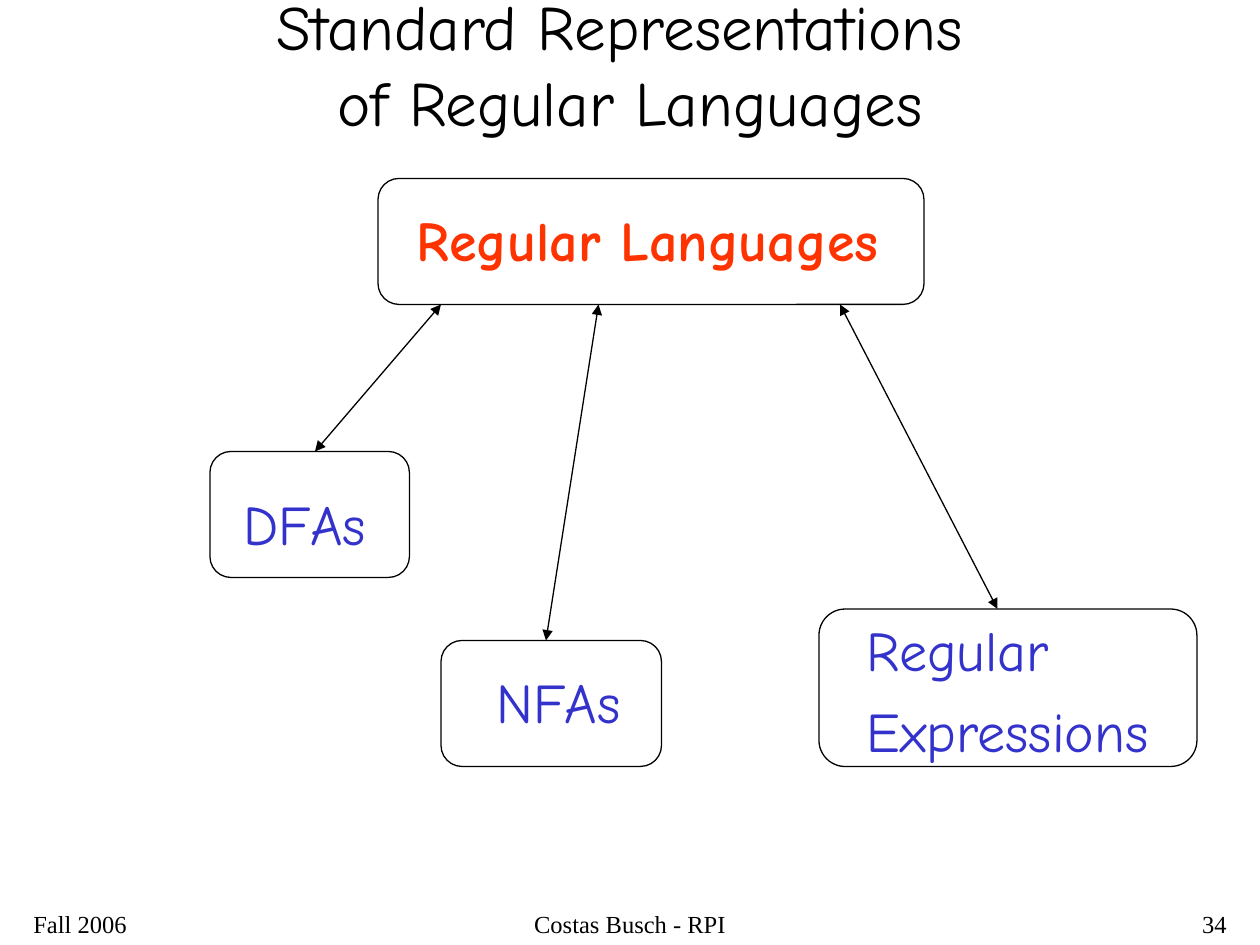
from lxml.etree import SubElement
from pptx import Presentation
from pptx.dml.color import RGBColor
from pptx.enum.shapes import MSO_CONNECTOR, MSO_SHAPE
from pptx.enum.text import MSO_ANCHOR, MSO_AUTO_SIZE, PP_ALIGN
from pptx.oxml.ns import qn
from pptx.util import Pt

BLACK, BLUE, RED = "000000", "3333CC", "FF3300"


def color(code):
    return RGBColor.from_string(code)


class Page:
    """The current slide and the style of what is put on it."""
    heading_font = "Comic Neue"
    footer_font = "Times New Roman"
    line_width = 0.75

    def __init__(self, deck):
        self.shapes = deck.slides.add_slide(deck.slide_layouts[6]).shapes

    def text_frame(self, area):
        return self.shapes.add_textbox(*map(Pt, area)).text_frame

    def add_run(self, para, text, size, font, code=BLACK, bold=False):
        span = para.add_run()
        span.text = text
        span.font.size = Pt(size)
        span.font.name = font
        span.font.bold = bold
        span.font.color.rgb = color(code)

    def title(self, area, lines):
        frame = self.text_frame(area)
        frame.word_wrap = True
        frame.vertical_anchor = MSO_ANCHOR.MIDDLE
        para = frame.paragraphs[0]
        para.alignment = PP_ALIGN.CENTER
        for index, line in enumerate(lines):
            if index:
                para.add_line_break()
            self.add_run(para, line, 36, self.heading_font)

    def label(self, area, lines, code=BLUE, bold=False):
        frame = self.text_frame(area)
        frame.word_wrap = False
        frame.auto_size = MSO_AUTO_SIZE.SHAPE_TO_FIT_TEXT
        for index, line in enumerate(lines):
            para = frame.add_paragraph() if index else frame.paragraphs[0]
            para.space_before = Pt(8)
            self.add_run(para, line, 32, self.heading_font, code, bold)

    def box(self, area):
        box = self.shapes.add_shape(MSO_SHAPE.ROUNDED_RECTANGLE, *map(Pt, area))
        box.shadow.inherit = False
        box.fill.background()
        box.line.color.rgb = color(BLACK)
        box.line.width = Pt(self.line_width)

    def double_arrow(self, start, end):
        arrow = self.shapes.add_connector(
            MSO_CONNECTOR.STRAIGHT, *map(Pt, start + end))
        arrow.line.color.rgb = color(BLACK)
        arrow.line.width = Pt(self.line_width)
        properties = arrow.line._get_or_add_ln()
        for name in ("a:headEnd", "a:tailEnd"):
            SubElement(properties, qn(name)).set("type", "triangle")
        SubElement(arrow._element.spPr, qn("a:effectLst"))

    def footer(self, left, width, text, alignment):
        frame = self.text_frame((left, 516, width, 24))
        frame.word_wrap = True
        para = frame.paragraphs[0]
        para.alignment = alignment
        self.add_run(para, text, 14, self.footer_font)


def main():
    deck = Presentation()
    deck.slide_width, deck.slide_height = Pt(720), Pt(540)
    page = Page(deck)

    # Title
    page.title((12, 12, 696, 48),
               ["Standard Representations ", "of Regular Languages"])

    # Labels
    page.label((231, 114, 279, 46), ["Regular Languages"], RED, True)
    page.label((132, 276, 85, 46), ["DFAs"])
    page.label((276.5, 378, 86, 46), ["NFAs"])
    page.label((488, 348, 176, 92), ["Regular", "Expressions"])

    # Rounded frames: the languages, then their three representations
    for area in ((216, 102, 312, 72), (120, 258, 114, 72),
                 (252, 366, 126, 72), (468, 348, 216, 90)):
        page.box(area)

    # Arrows from the lower edge of the languages frame
    for start_x, end in ((252, (180, 258)), (342, (312, 366)),
                         (480, (570, 348))):
        page.double_arrow((start_x, 174), end)

    # Footer
    page.footer(246, 228, "Costas Busch - RPI", PP_ALIGN.CENTER)
    page.footer(558, 150, "34", PP_ALIGN.RIGHT)
    page.footer(12, 150, "Fall 2006", PP_ALIGN.LEFT)

    deck.save("out.pptx")


if __name__ == "__main__":
    main()
